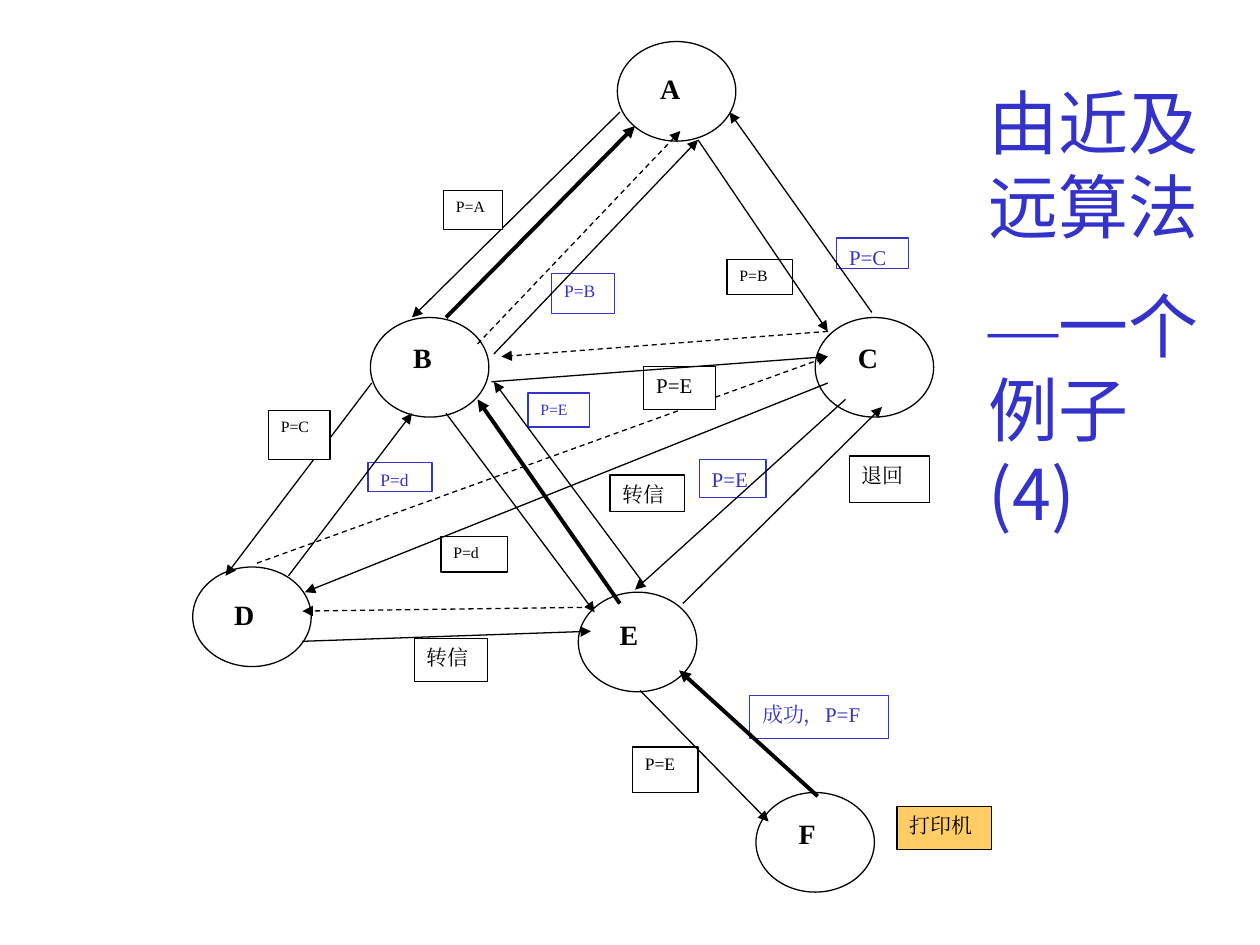
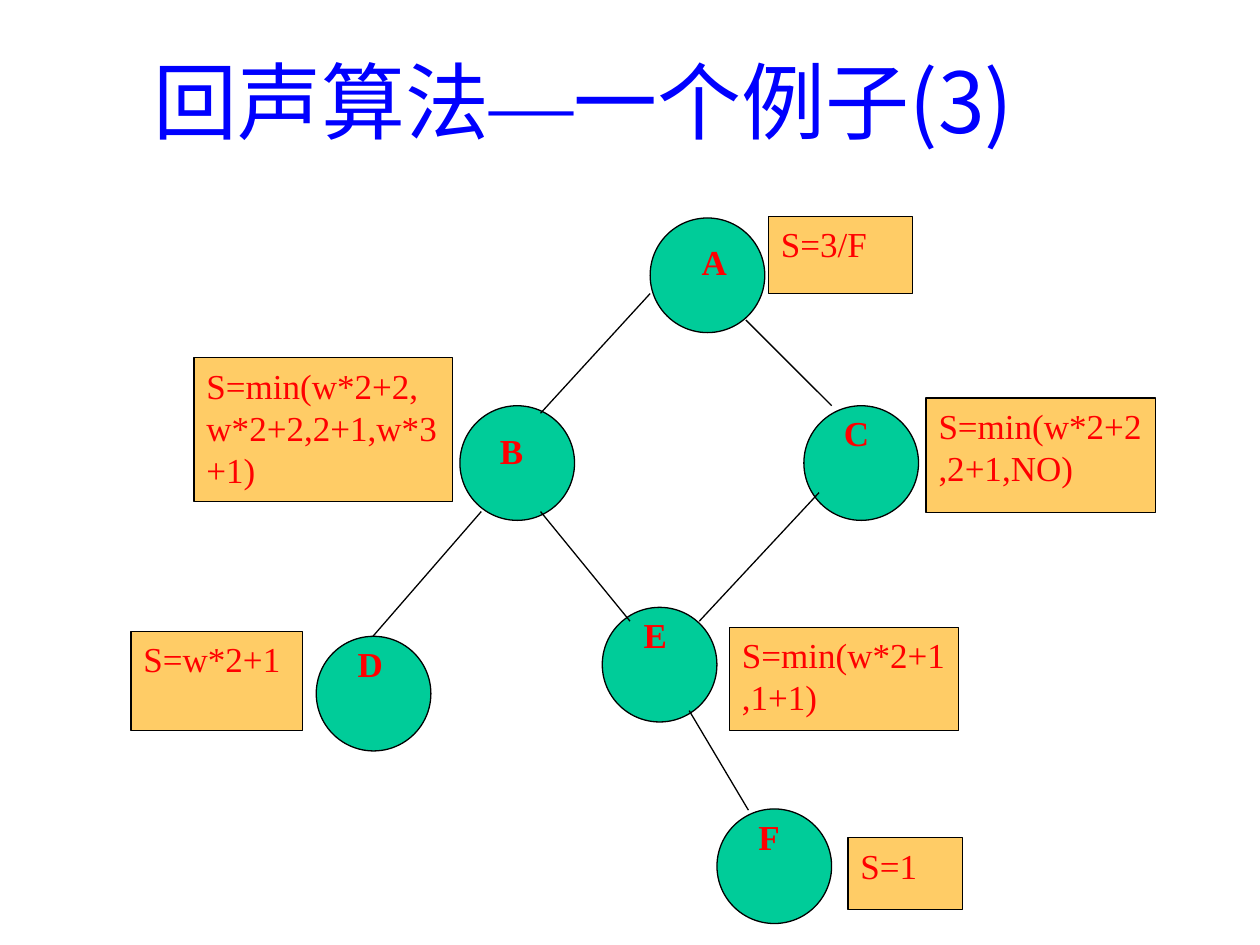
from lxml.etree import SubElement
from pptx import Presentation
from pptx.dml.color import RGBColor
from pptx.enum.dml import MSO_LINE
from pptx.enum.shapes import MSO_CONNECTOR, MSO_SHAPE
from pptx.enum.text import MSO_ANCHOR, PP_ALIGN
from pptx.oxml.ns import qn
from pptx.util import Inches, Pt

COLORS = {
    "black": "000000", "white": "FFFFFF", "amber": "FFCC66", "green": "00CC99",
    "red": "FF0000", "indigo": "3333CC", "blue": "0000FF",
}
SERIF, SANS = "Times New Roman", "Noto Sans CJK JP"
COLUMNS, ROWS = 100, 75
WIDTH, HEIGHT = Inches(10), Inches(7.5)


def rgb(name):
    return RGBColor.from_string(COLORS[name])


def write(frame, paragraphs, size=12, color="black", bold=False,
          align=PP_ALIGN.JUSTIFY, anchor=MSO_ANCHOR.TOP, gap=0):
    """Fill a frame; each paragraph is a list of (text, font) runs."""
    frame.word_wrap = True
    frame.vertical_anchor = anchor
    for index, runs in enumerate(paragraphs):
        paragraph = frame.add_paragraph() if index else frame.paragraphs[0]
        paragraph.alignment = align
        if index:
            paragraph.space_before = Pt(gap)
        for text, font_name in runs:
            run = paragraph.add_run()
            run.text = text
            run.font.size, run.font.bold = Pt(size), bold
            run.font.color.rgb = rgb(color)
            run.font.name = font_name
            SubElement(run.font._element, qn("a:ea"), typeface=font_name)


class Diagram:
    """Draws on the current slide, on a grid of 100 columns by 75 rows."""

    def __init__(self, deck):
        self.deck = deck
        self.shapes = None

    def new_slide(self):
        self.shapes = self.deck.slides.add_slide(self.deck.slide_layouts[6]).shapes

    def place(self, *lengths):
        """Turn alternating columns and rows into slide lengths."""
        units = (WIDTH / COLUMNS, HEIGHT / ROWS)
        return [round(length * units[i % 2]) for i, length in enumerate(lengths)]

    def outline(self, kind, area, fill, line="black"):
        shape = self.shapes.add_shape(kind, *self.place(*area))
        shape.shadow.inherit = False
        shape.fill.solid()
        shape.fill.fore_color.rgb = rgb(fill)
        shape.line.color.rgb = rgb(line)
        shape.line.width = Pt(0.75)
        return shape

    def text(self, area, paragraphs, **style):
        box = self.shapes.add_textbox(*self.place(*area))
        write(box.text_frame, paragraphs, **style)

    def label(self, text, area, fill="white", line="black", **style):
        box = self.outline(MSO_SHAPE.RECTANGLE, area, fill, line)
        write(box.text_frame, [[(text, SERIF)]], **style)

    def node(self, letter, corner, letter_shift, extent, fill, **style):
        left, top = corner
        self.outline(MSO_SHAPE.OVAL, (left, top, *extent), fill)
        self.text((left + letter_shift[0], top + letter_shift[1], 5, 4.5),
                  [[(letter, SERIF)]], bold=True, **style)

    def link(self, ends, width=0.75, dashed=False, arrow=True):
        line = self.shapes.add_connector(MSO_CONNECTOR.STRAIGHT, *self.place(*ends))
        line.line.color.rgb = rgb("black")
        line.line.width = Pt(width)
        if dashed:
            line.line.dash_style = MSO_LINE.DASH
        properties = line._element.spPr
        if arrow:
            SubElement(properties.find(qn("a:ln")), qn("a:tailEnd"), type="triangle")
        SubElement(properties, qn("a:effectLst"))


def near_to_far_slide(diagram):
    diagram.new_slide()
    for letter, corner, shift in [
        ("F", (60, 62.9), (2.4, 1.4)), ("A", (49, 3.3), (2.4, 1.9)),
        ("B", (29.4, 25.2), (2.4, 1.3)), ("C", (64.7, 25.2), (2.4, 1.3)),
        ("D", (15.3, 45), (2.3, 1.9)), ("E", (45.9, 47), (2.3, 1.5)),
    ]:
        diagram.node(letter, corner, shift, (9.4, 7.9), "white", size=16)
    diagram.label("打印机", (71.2, 64, 7.5, 3.4), fill="amber")

    sent, returned = {}, {"dashed": True}
    query, reply = "black", "indigo"
    # Each message may carry a label: text, area, size, colour.
    messages = [
        ((49.2, 8.9, 32.7, 25.2), sent, ("P=A", (35.2, 15.1, 4.7, 3.1), 9, query)),
        ((37.9, 27.3, 54, 10.4), returned, ("P=B", (43.8, 21.7, 5, 3.2), 10, reply)),
        ((39.2, 28.1, 55.4, 11.1), sent, ("P=B", (57.7, 20.6, 5.2, 2.8), 9, query)),
        ((55.4, 11.1, 65.7, 26.3), sent, None),
        ((65.7, 26.3, 39.8, 28.3), returned, ("P=C", (66.4, 18.9, 5.7, 2.4), 12, reply)),
        ((69.2, 24.8, 57.9, 8.9), sent, None),
        ((29.5, 30.4, 17.9, 45.7), sent, ("P=C", (21.3, 32.6, 4.9, 3.9), 9, query)),
        ((20.4, 44.7, 65.7, 28.3), returned, ("P=d", (29.2, 36.7, 5.1, 2.3), 10, reply)),
        ((22.9, 45.7, 32.7, 32.8), sent, None),
        ((35.4, 32.8, 47.2, 48.6), sent, ("P=d", (35, 42.6, 5.3, 2.8), 9, query)),
        ((46.9, 48.2, 24, 48.5), returned, ("P=E", (41.9, 31.2, 4.9, 2.7), 9, reply)),
        ((51, 46.2, 39.2, 30.3), sent, ("P=E", (51.1, 29.1, 5.7, 3.4), 12, query)),
        ((39, 30.3, 65.7, 28.3), sent, ("P=E", (55.5, 36.5, 5.3, 3), 12, reply)),
        ((67.1, 31.7, 50.4, 46.8), sent, ("退回", (67.4, 36.2, 6.4, 3.7), 12, query)),
        ((54.2, 47.9, 70, 32.3), sent, ("转信", (48.4, 37.7, 5.9, 2.9), 12, query)),
        ((65.7, 30.4, 24.2, 47), sent, ("转信", (32.9, 50.7, 5.8, 3.4), 12, query)),
        ((24, 50.9, 46.9, 50.1), sent, ("P=E", (50.2, 59.3, 5.2, 3.6), 10, query)),
        ((50.8, 54.8, 61, 65.2), sent, ("成功，P=F", (59.5, 55.2, 11, 3.4), 12, reply)),
    ]
    for ends, style, label in messages:
        diagram.link(ends, **style)
        if label:
            text, area, size, color = label
            diagram.label(text, area, line=color, size=size, color=color)
    for success_path in [(64.9, 63.2, 53.9, 53.2), (49.2, 47.9, 37.9, 31.7),
                         (35.4, 25.2, 50.4, 10)]:
        diagram.link(success_path, width=2.25)

    diagram.text((77.5, 5.8, 19.2, 31),
                 [[("由近及远算法", SANS)], [("—", SERIF), ("一个例子(4)", SANS)]],
                 size=40, color="indigo", align=PP_ALIGN.LEFT, gap=20)


def echo_slide(diagram):
    diagram.new_slide()
    diagram.text((3.8, 1.7, 85, 12.5),
                 [[("回声算法", SANS), ("—", SERIF), ("一个例子(3)", SANS)]],
                 size=48, color="blue", align=PP_ALIGN.CENTER,
                 anchor=MSO_ANCHOR.MIDDLE)
    for letter, corner, shift in [
        ("A", (51.6, 17.3), (3.1, 1.3)), ("B", (36.5, 32.2), (2.2, 1.4)),
        ("C", (63.8, 32.2), (2.2, 0)), ("D", (25.1, 50.5), (2.3, 0)),
        ("E", (47.8, 48.2), (2.3, 0)), ("F", (56.9, 64.2), (2.3, 0)),
    ]:
        diagram.node(letter, corner, shift, (9.1, 9.1), "green", size=20, color="red")
    for edge in [
        (51.6, 23.3, 42.9, 32.8), (38.2, 40.6, 29.6, 50.5), (59.2, 25.4, 66, 32.2),
        (42.9, 40.6, 50, 49.3), (54.7, 56.4, 59.4, 64.3), (65, 39.1, 55.5, 49.3),
    ]:
        diagram.link(edge, arrow=False)
    for formula, area in [
        ("S=w*2+1", (10.4, 50.1, 13.6, 7.9)),
        ("S=1", (67.3, 66.5, 9.1, 5.7)),
        ("S=min(w*2+1,1+1)", (57.9, 49.8, 18.2, 8.2)),
        ("S=min(w*2+2,2+1,NO)", (73.5, 31.6, 18.2, 9.1)),
        ("S=min(w*2+2,w*2+2,2+1,w*3+1)", (15.4, 28.4, 20.5, 11.4)),
        ("S=3/F", (61, 17.2, 11.4, 6.1)),
    ]:
        diagram.label(formula, area, fill="amber", size=20, color="red")


def main():
    deck = Presentation()
    deck.slide_width, deck.slide_height = WIDTH, HEIGHT
    diagram = Diagram(deck)
    near_to_far_slide(diagram)
    echo_slide(diagram)
    deck.save("out.pptx")


if __name__ == "__main__":
    main()
